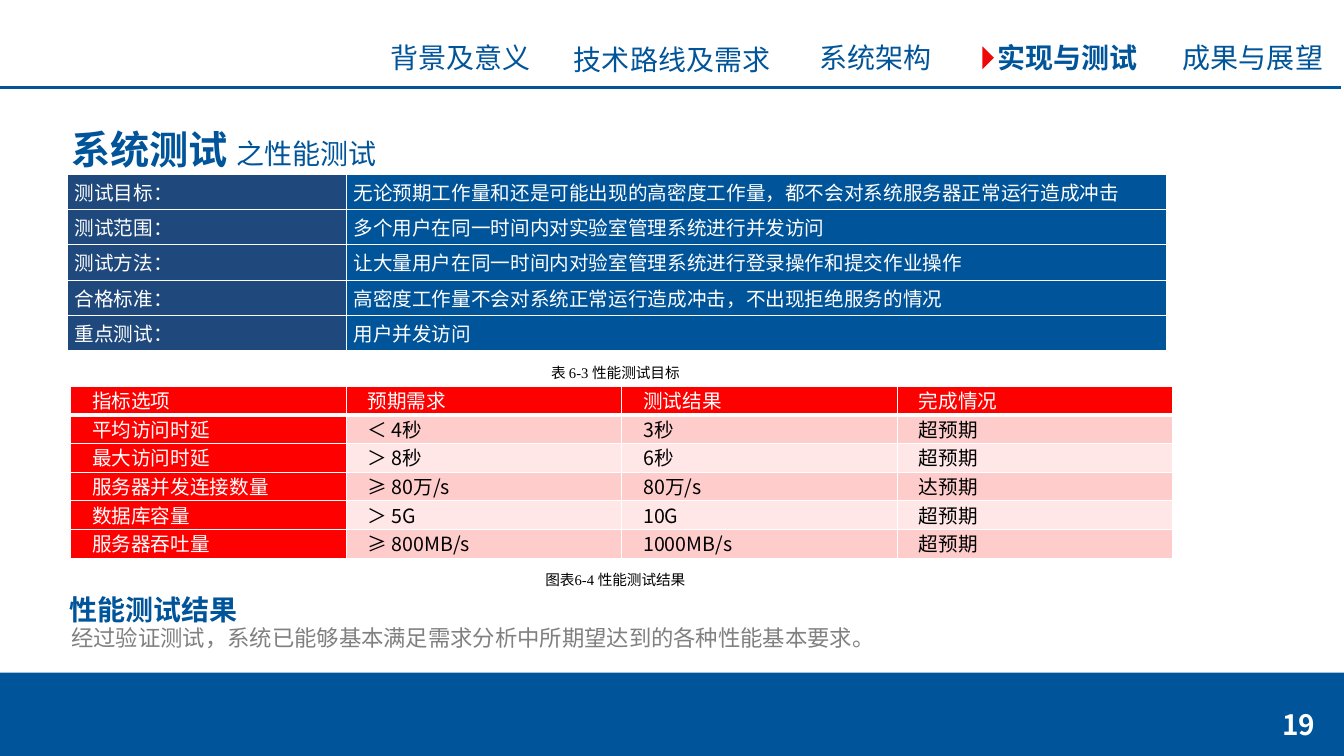
from collections import namedtuple

from lxml import etree
from pptx import Presentation
from pptx.dml.color import RGBColor
from pptx.enum.shapes import MSO_CONNECTOR, MSO_SHAPE
from pptx.enum.text import MSO_ANCHOR, PP_ALIGN
from pptx.oxml.ns import qn
from pptx.util import Cm, Pt

LEFT, CENTER, JUSTIFY = PP_ALIGN.LEFT, PP_ALIGN.CENTER, PP_ALIGN.JUSTIFY
TOP, MIDDLE = MSO_ANCHOR.TOP, MSO_ANCHOR.MIDDLE
STRAIGHT = MSO_CONNECTOR.STRAIGHT
RECTANGLE, RIGHT_TRIANGLE = MSO_SHAPE.RECTANGLE, MSO_SHAPE.RIGHT_TRIANGLE

COLORS = {
    "blue": "005499", "navy": "1F497D", "marker": "EF0808", "red": "FF0000",
    "pink": "FFCCCC", "light_pink": "FFE7E7", "gray": "808080",
    "white": "FFFFFF", "black": "000000",
}
SANS = "Noto Sans CJK SC"
Box = namedtuple("Box", "left top width height")

# Label, left offset, top offset and width in the navigation bar
NAVIGATION = [
    ("背景及意义", 9.6, 0.89, 4.37),
    ("技术路线及需求", 14.22, 0.94, 5.74),
    ("系统架构", 20.4, 0.89, 3.48),
    ("实现与测试", 24.89, 0.89, 4.65),
    ("成果与展望", 29.57, 0.89, 4.24),
]
CURRENT = "实现与测试"
GOALS = [
    ("测试目标：", "无论预期工作量和还是可能出现的高密度工作量，都不会对系统服务器正常运行造成冲击"),
    ("测试范围：", "多个用户在同一时间内对实验室管理系统进行并发访问"),
    ("测试方法：", "让大量用户在同一时间内对验室管理系统进行登录操作和提交作业操作"),
    ("合格标准：", "高密度工作量不会对系统正常运行造成冲击，不出现拒绝服务的情况"),
    ("重点测试：", "用户并发访问"),
]
RESULTS = [
    ("指标选项", "预期需求", "测试结果", "完成情况"),
    ("平均访问时延", "＜ 4秒", "3秒", "超预期"),
    ("最大访问时延", "＞ 8秒", "6秒", "超预期"),
    ("服务器并发连接数量", "≥ 80万/s", "80万/s", "达预期"),
    ("数据库容量", "＞ 5G", "10G", "超预期"),
    ("服务器吞吐量", "≥ 800MB/s", "1000MB/s", "超预期"),
]


def rgb(name):
    return RGBColor.from_string(COLORS[name])


def cm_box(box):
    return [Cm(value) for value in box]


def add_run(paragraph, text, size=20, color="blue", bold=False, font=SANS, shadow=False):
    run = paragraph.add_run()
    run.text = text
    run.font.size, run.font.bold, run.font.name = Pt(size), bold, font
    run.font.color.rgb = rgb(color)
    properties = run.font._element
    properties.find(qn("a:latin")).addnext(
        etree.Element(qn("a:ea"), typeface=SANS))
    if shadow:
        effects = etree.Element(qn("a:effectLst"))
        outer = etree.SubElement(effects, qn("a:outerShdw"), blurRad="50800",
                                 dist="38100", dir="2700000")
        tint = etree.SubElement(outer, qn("a:srgbClr"), val=COLORS["black"])
        etree.SubElement(tint, qn("a:alpha"), val="40000")
        properties.find(qn("a:solidFill")).addnext(effects)


def add_text(slide, text, box, align=LEFT, line_spacing=None, inset=None, fill=None,
             **run_format):
    """Add a wrapped text box and return its paragraph."""
    shape = slide.shapes.add_textbox(*cm_box(box))
    frame = shape.text_frame
    frame.word_wrap, frame.vertical_anchor = True, TOP
    if inset is not None:
        frame.margin_left = frame.margin_right = Cm(inset)
        frame.margin_top = frame.margin_bottom = Cm(inset)
    if fill:
        shape.fill.solid()
        shape.fill.fore_color.rgb = rgb(fill)
    paragraph = frame.paragraphs[0]
    paragraph.alignment = align
    if line_spacing:
        paragraph.line_spacing = Pt(line_spacing)
    add_run(paragraph, text, **run_format)
    return paragraph


def add_block(slide, kind, box, color):
    shape = slide.shapes.add_shape(kind, *cm_box(box))
    shape.shadow.inherit = False
    shape.fill.solid()
    shape.fill.fore_color.rgb = rgb(color)
    shape.line.fill.background()
    return shape


def set_borders(cell, top=1, bottom=1):
    """Draw white cell borders, with widths in points."""
    properties = cell._tc.get_or_add_tcPr()
    for side, width in (("L", 1), ("R", 1), ("T", top), ("B", bottom)):
        line = etree.SubElement(properties, qn(f"a:ln{side}"), w=str(Pt(width)))
        fill = etree.SubElement(line, qn("a:solidFill"))
        etree.SubElement(fill, qn("a:srgbClr"), val=COLORS["white"])


def add_grid(slide, box, rows, widths, style, header_rule=1, indent=0.18,
             align=LEFT, anchor=TOP):
    """Add a table; style(row, column) gives the fill and text colours."""
    table = slide.shapes.add_table(len(rows), len(widths), *cm_box(box)).table
    for column, width in zip(table.columns, widths):
        column.width = Cm(width)
    for r, values in enumerate(rows):
        table.rows[r].height = Cm(box.height / len(rows))
        for c, value in enumerate(values):
            cell = table.cell(r, c)
            fill, color = style(r, c)
            set_borders(cell, top=header_rule if r == 1 else 1,
                        bottom=header_rule if r == 0 else 1)
            cell.fill.solid()
            cell.fill.fore_color.rgb = rgb(fill)
            cell.margin_left, cell.margin_right = Cm(indent), Cm(0.18)
            cell.margin_top = cell.margin_bottom = 0
            cell.vertical_anchor = anchor
            paragraph = cell.text_frame.paragraphs[0]
            paragraph.alignment, paragraph.line_spacing = align, Pt(20)
            add_run(paragraph, value, size=14, color=color)


def goal_style(row, column):
    return ("navy" if column == 0 else "blue"), "white"


def result_style(row, column):
    if row == 0 or column == 0:
        return "red", "white"
    return ("pink" if row % 2 else "light_pink"), "black"


def add_navigation(slide, box):
    bottom = Cm(box.top + box.height)
    rule = slide.shapes.add_connector(
        STRAIGHT, Cm(box.left), bottom, Cm(box.left + box.width), bottom)
    rule.line.color.rgb, rule.line.width = rgb("blue"), Pt(2.5)
    etree.SubElement(rule._element.spPr, qn("a:effectLst"))
    for label, left, top, width in NAVIGATION:
        item = Box(box.left + left, box.top + top, width, 1.12)
        add_text(slide, label, item, bold=label == CURRENT, shadow=True)
        if label == CURRENT:
            marker = Box(item.left - 0.33, item.top + 0.36, 0.41, 0.41)
            add_block(slide, RIGHT_TRIANGLE, marker, "marker").rotation = 225


def add_caption(slide, text, box):
    add_text(slide, text, box, align=CENTER, line_spacing=20, inset=0,
             fill="white", size=10.5, color="black", font="Times New Roman")


def add_goals(slide, box):
    title = Box(box.left - 0.15, box.top - 1.52, 10, 1.5)
    paragraph = add_text(slide, "系统测试 ", title, line_spacing=38, size=28, bold=True)
    add_run(paragraph, "之性能测试")
    add_grid(slide, box, GOALS, (7.03, box.width - 7.03), goal_style, anchor=MIDDLE)
    add_caption(slide, "表 6-3 性能测试目标",
                Box(box.left + 0.15, box.top + box.height + 0.07, 27.33, 1.12))


def add_results(slide, box):
    bottom = box.top + box.height
    add_caption(slide, "图表6-4 性能测试结果", Box(box.left + 0.07, bottom + 0.05, 27.33, 1.12))
    add_grid(slide, box, RESULTS, [box.width / 4] * 4, result_style,
             header_rule=3, indent=0.54, align=JUSTIFY)
    add_text(slide, "性能测试结果", Box(box.left - 0.28, bottom + 0.23, 6, 1.6),
             line_spacing=38, bold=True)
    add_text(slide, "经过验证测试，系统已能够基本满足需求分析中所期望达到的各种性能基本要求。",
             Box(box.left - 0.23, bottom + 1.53, 23, 0.94),
             size=16, color="gray", font="Arial")


def add_footer(slide, box):
    add_block(slide, RECTANGLE, box, "blue")
    number = Box(box.left + box.width - 1.95, box.top + 0.76, 1.63, 1.12)
    add_text(slide, "19", number, align=CENTER, color="white", bold=True)


def main():
    presentation = Presentation()
    presentation.slide_width, presentation.slide_height = Cm(33.88), Cm(19.05)
    slide = presentation.slides.add_slide(presentation.slide_layouts[6])
    add_navigation(slide, Box(0, 0, 33.8, 2.21))
    add_goals(slide, Box(1.7, 4.39, 27.71, 4.45))
    add_results(slide, Box(1.78, 9.73, 27.79, 4.34))
    add_footer(slide, Box(0, 16.95, 33.88, 2.1))
    presentation.save("out.pptx")


if __name__ == "__main__":
    main()
